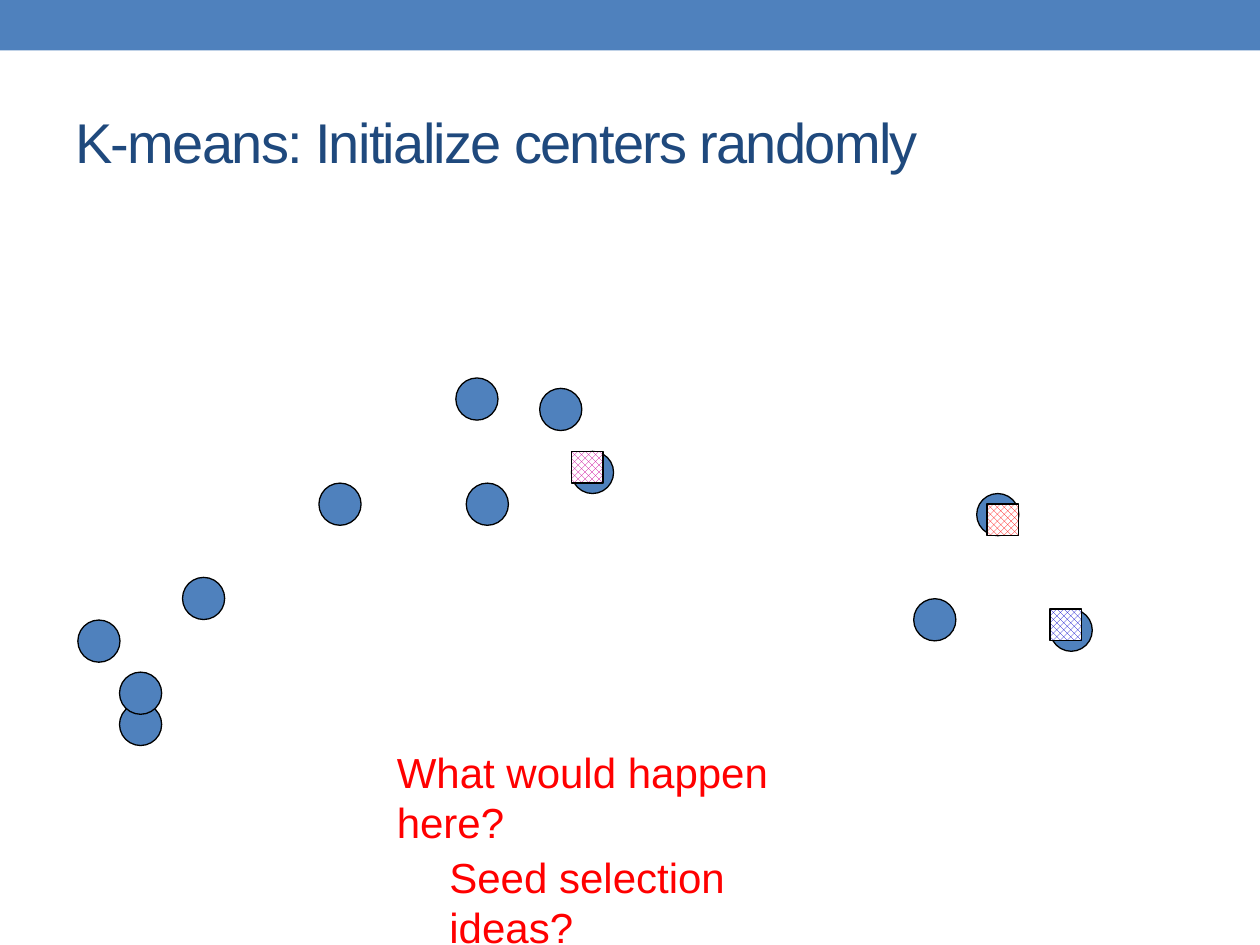
from typing import NamedTuple

from pptx import Presentation
from pptx.dml.color import RGBColor
from pptx.enum.dml import MSO_PATTERN
from pptx.enum.shapes import MSO_SHAPE
from pptx.enum.text import MSO_ANCHOR
from pptx.util import Cm, Pt

BLUE = RGBColor(0x4F, 0x81, 0xBD)
NAVY = RGBColor(0x1F, 0x49, 0x7D)
BLACK = RGBColor(0, 0, 0)
WHITE = RGBColor(0xFF, 0xFF, 0xFF)
RED = RGBColor(0xFF, 0, 0)
SEED_BLUE = RGBColor(0, 0, 0xCC)
SEED_PINK = RGBColor(0xCC, 0, 0x99)

POINT_SIZE = 0.85
CENTER_SIZE = 0.64


class Point(NamedTuple):
    left: float
    top: float


class Center(NamedTuple):
    left: float
    top: float
    color: RGBColor


class Label(NamedTuple):
    text: str
    left: float
    top: float
    width: float
    height: float
    size: int
    color: RGBColor
    anchor: MSO_ANCHOR = MSO_ANCHOR.TOP
    spacing: int = 0


POINTS = [
    Point(2.41, 14.18), Point(1.57, 12.5), Point(3.68, 11.64),
    Point(19.69, 9.95), Point(9.19, 7.62), Point(10.88, 7.83),
    Point(9.4, 9.74), Point(6.43, 9.74), Point(21.17, 12.28),
    Point(11.52, 9.1), Point(2.41, 13.55), Point(18.42, 12.07),
]
CENTERS = [
    Center(21.17, 12.28, SEED_BLUE),
    Center(19.9, 10.16, RED),
    Center(11.52, 9.1, SEED_PINK),
]
LABELS = [
    Label("K-means: Initialize centers randomly", 1.27, 1.48, 22.86, 2.75,
          32, NAVY, MSO_ANCHOR.MIDDLE, -100),
    Label("What would happen here?", 7.75, 14.92, 9.6, 1.28, 24, RED),
    Label("Seed selection ideas?", 8.81, 17.04, 7.8, 1.28, 24, RED),
]

prs = Presentation()
prs.slide_width, prs.slide_height = Cm(25.4), Cm(19.05)
slide = prs.slides.add_slide(prs.slide_layouts[6])


def add_marker(kind: MSO_SHAPE, left: float, top: float, size: float):
    """Add a square-framed shape with a thin black outline."""
    marker = slide.shapes.add_shape(kind, Cm(left), Cm(top), Cm(size), Cm(size))
    marker.shadow.inherit = False
    marker.line.color.rgb = BLACK
    marker.line.width = Pt(0.75)
    return marker


def add_point(point: Point) -> None:
    marker = add_marker(MSO_SHAPE.OVAL, point.left, point.top, POINT_SIZE)
    marker.fill.solid()
    marker.fill.fore_color.rgb = BLUE


def add_center(center: Center) -> None:
    marker = add_marker(MSO_SHAPE.RECTANGLE, center.left, center.top, CENTER_SIZE)
    marker.fill.patterned()
    marker.fill.pattern = MSO_PATTERN.LARGE_CHECKER_BOARD
    marker.fill.fore_color.rgb = center.color
    marker.fill.back_color.rgb = WHITE


def add_label(label: Label) -> None:
    box = slide.shapes.add_textbox(Cm(label.left), Cm(label.top),
                                   Cm(label.width), Cm(label.height))
    frame = box.text_frame
    frame.word_wrap = True
    frame.vertical_anchor = label.anchor
    run = frame.paragraphs[0].add_run()
    run.text = label.text
    run.font.name = "Arial"
    run.font.size = Pt(label.size)
    run.font.color.rgb = label.color
    if label.spacing:
        run.font._element.set("spc", str(label.spacing))


# Top band
band = slide.shapes.add_shape(MSO_SHAPE.RECTANGLE, 0, 0, prs.slide_width, Cm(1.02))
band.shadow.inherit = False
band.fill.solid()
band.fill.fore_color.rgb = BLUE
band.line.fill.background()

# Data points, then the initial centers on top of them
for data_point in POINTS:
    add_point(data_point)
for seed in CENTERS:
    add_center(seed)

# Title and questions
for text_label in LABELS:
    add_label(text_label)

prs.save("out.pptx")
